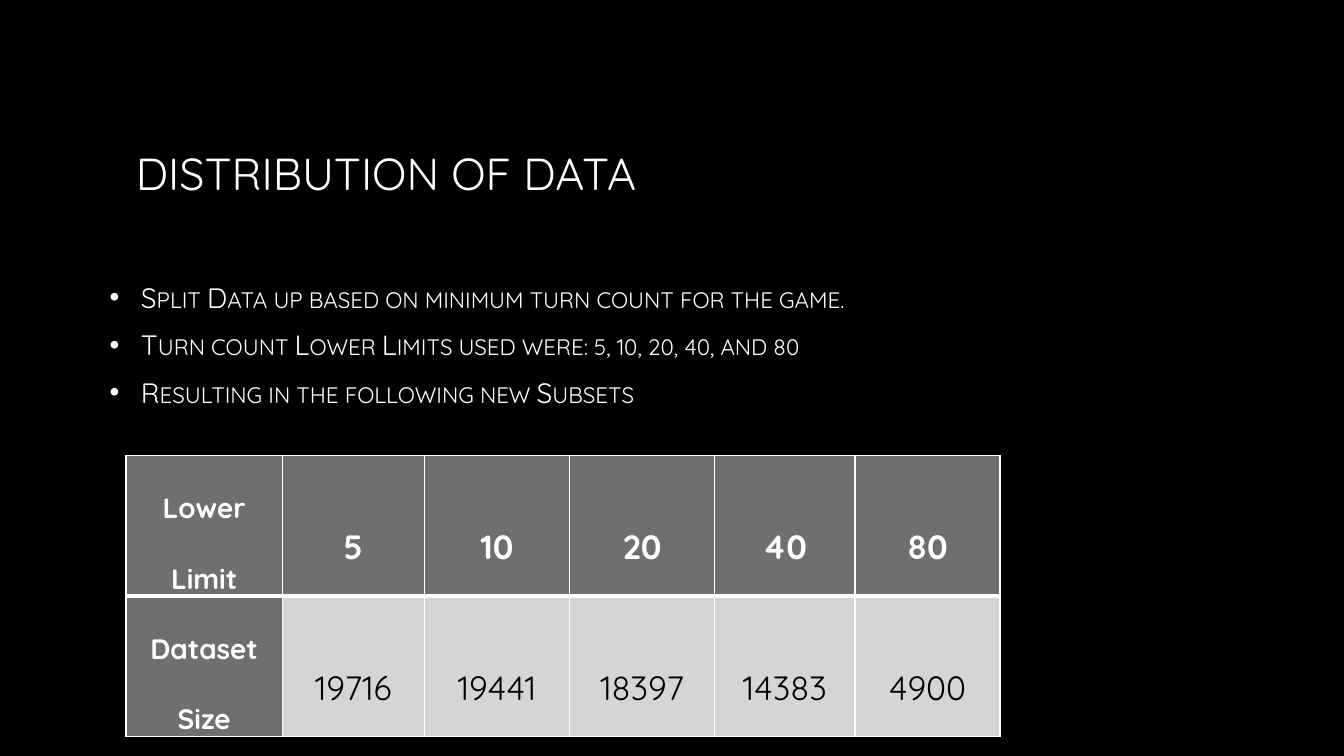
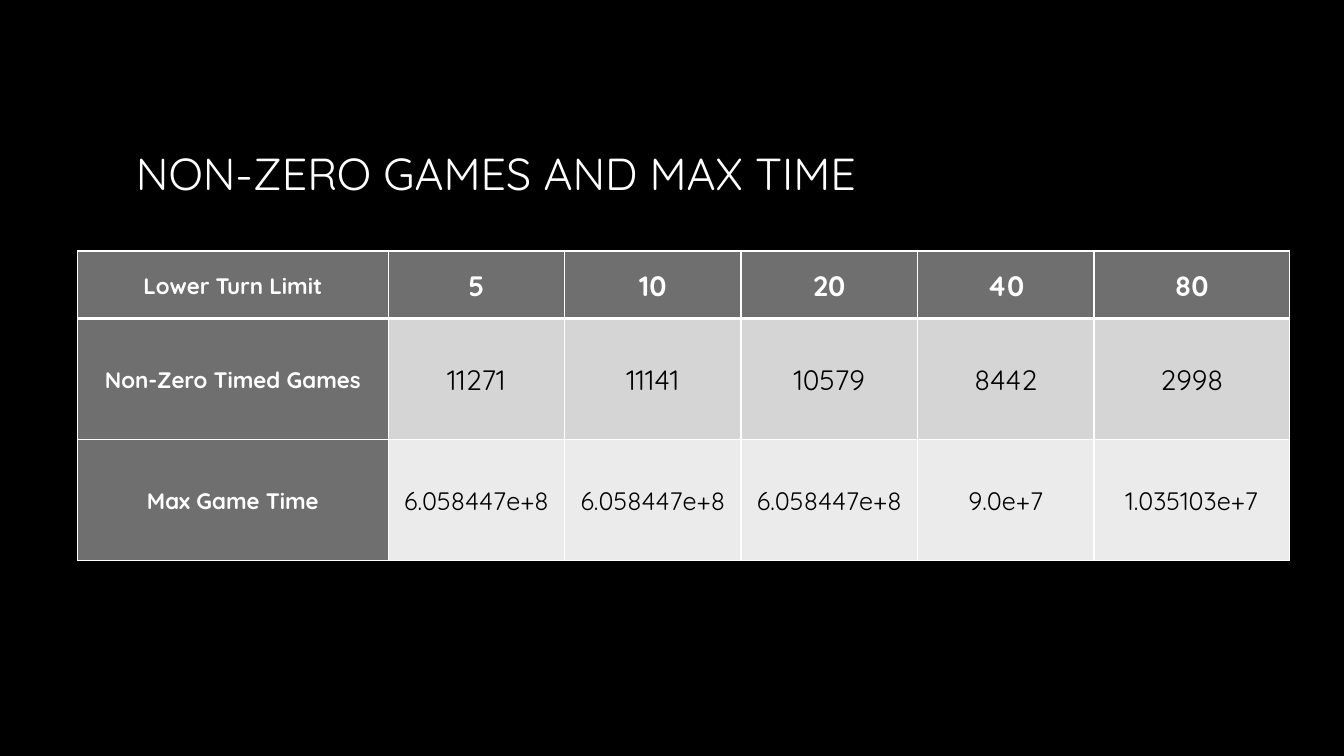
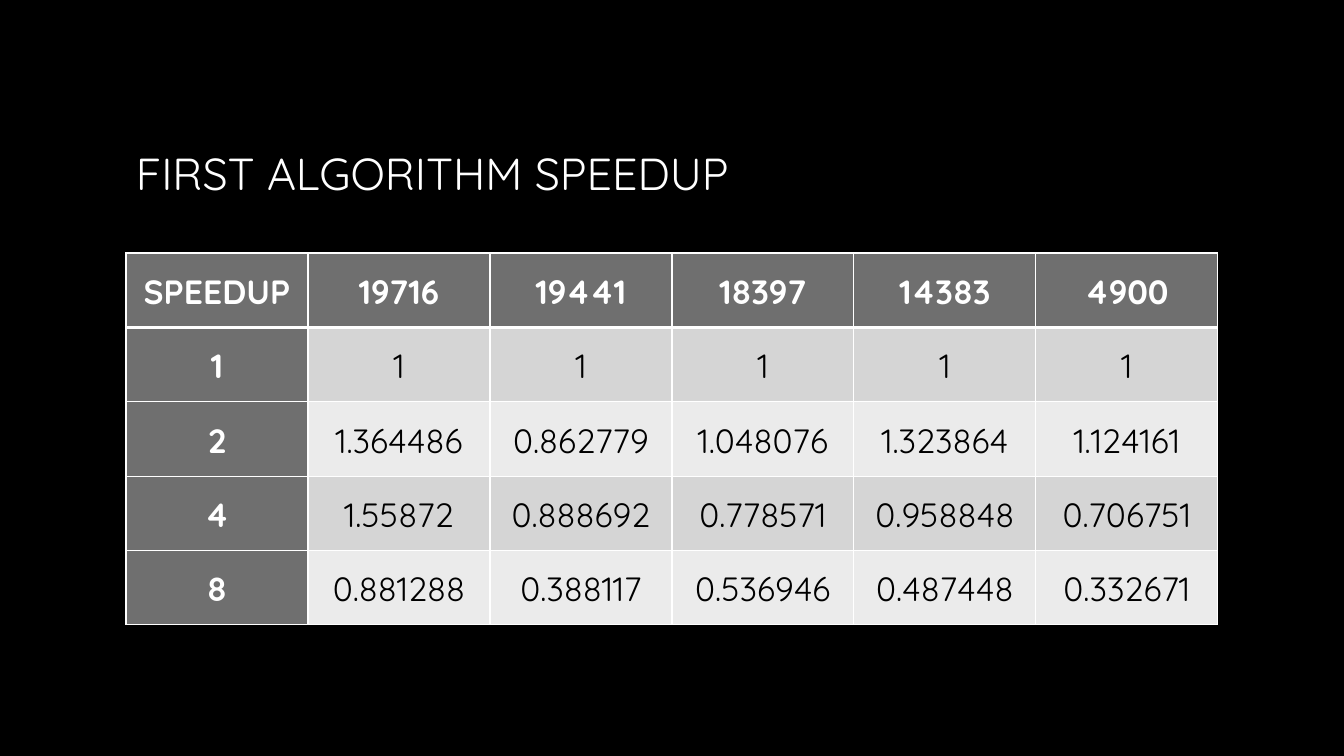
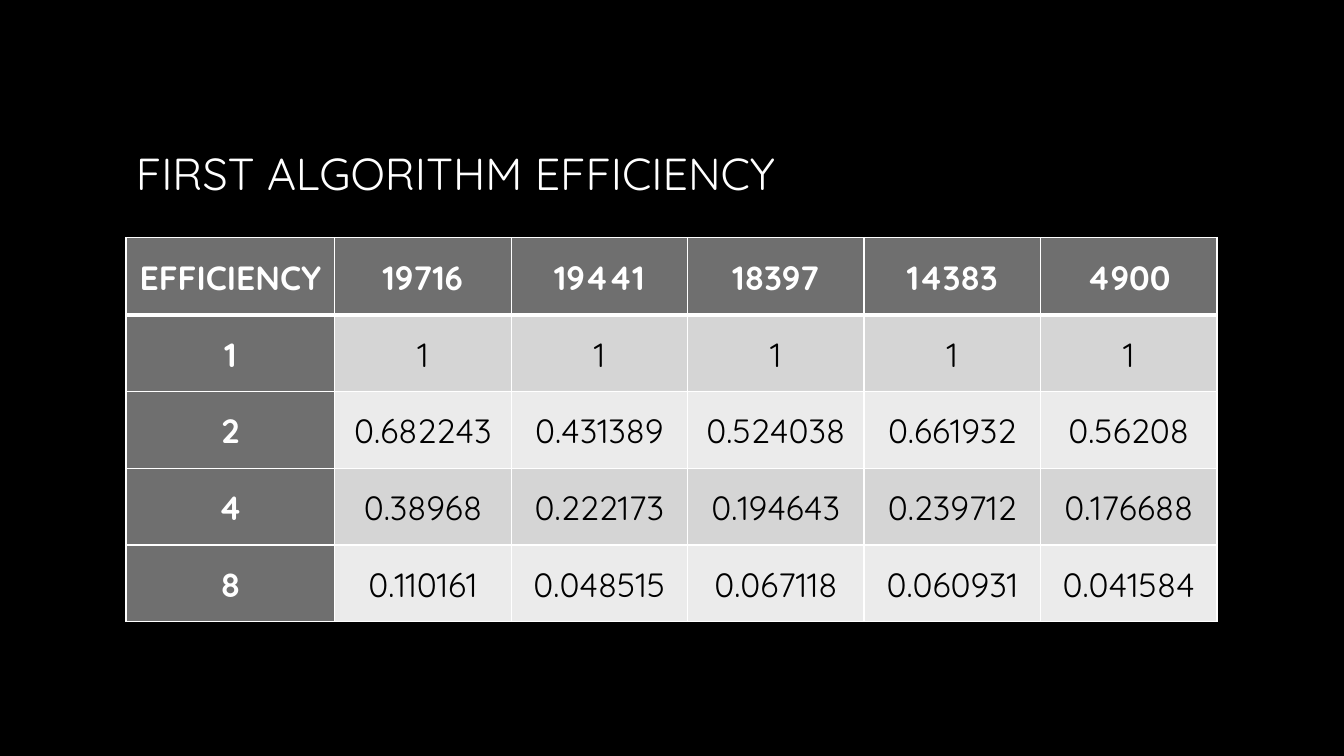
from lxml.etree import SubElement
from pptx import Presentation
from pptx.dml.color import RGBColor
from pptx.enum.text import MSO_ANCHOR, PP_ALIGN
from pptx.oxml.ns import qn
from pptx.util import Inches, Pt

FONT = "Quicksand"
BLACK, WHITE = "000000", "FFFFFF"
LABEL_FILL = "6F6F6F"
BAND_FILLS = ("D5D5D5", "EBEBEB")
THIN, THICK = 1, 3
TITLE_BOX = (1.25, 0.67, 10.83, 2.08)
BODY_BOX = (0.99, 1.71, 10.83, 3.42)
BULLET_INDENT = 0.31

# Content: row_sizes are the text sizes of the values in each row,
# label_bottom lifts two-line labels clear of the border below them
SLIDES = [
    {
        "title": "DISTRIBUTION OF DATA",
        "bullets": [
            "Split Data up based on minimum turn count for the game.",
            "Turn count Lower Limits used were: 5, 10, 20, 40, and 80",
            "Resulting in the following new Subsets",
        ],
        "origin": (1.25, 4.52),
        "columns": [1.55, 1.41, 1.44, 1.44, 1.39, 1.44],
        "row_heights": [1.39] * 2, "label_bottom": 0.06,
        "label_size": 20, "row_sizes": [24] * 2, "line_spacing": 2.0,
        "rows": [
            ("Lower Limit", "5", "10", "20", "40", "80"),
            ("Dataset Size", "19716", "19441", "18397", "14383", "4900"),
        ],
    },
    {
        "title": "NON-ZERO GAMES AND MAX TIME",
        "origin": (0.77, 2.49),
        "columns": [3.08] + [1.75] * 4 + [1.94],
        "row_heights": [0.67, 1.2, 1.2], "label_bottom": 0,
        "label_size": 16, "row_sizes": [20, 20, 18], "line_spacing": 1.07,
        "rows": [
            ("Lower Turn Limit", "5", "10", "20", "40", "80"),
            ("Non-Zero Timed Games", "11271", "11141", "10579", "8442", "2998"),
            ("Max Game Time", "6.058447e+8", "6.058447e+8", "6.058447e+8",
             "9.0e+7", "1.035103e+7"),
        ],
    },
    {
        "title": "FIRST ALGORITHM SPEEDUP",
        "origin": (1.25, 2.51),
        "columns": [10.83 / 6] * 6,
        "row_heights": [3.69 / 5] * 5, "label_bottom": 0,
        "label_size": 24, "row_sizes": [24] * 5, "line_spacing": 1.07,
        "rows": [
            ("SPEEDUP", "19716", "19441", "18397", "14383", "4900"),
            ("1", "1", "1", "1", "1", "1"),
            ("2", "1.364486", "0.862779", "1.048076", "1.323864", "1.124161"),
            ("4", "1.55872", "0.888692", "0.778571", "0.958848", "0.706751"),
            ("8", "0.881288", "0.388117", "0.536946", "0.487448", "0.332671"),
        ],
    },
    {
        "title": "FIRST ALGORITHM EFFICIENCY",
        "origin": (1.25, 2.36),
        "columns": [2.07] + [1.75] * 5,
        "row_heights": [3.81 / 5] * 5, "label_bottom": 0,
        "label_size": 24, "row_sizes": [24] * 5, "line_spacing": 1.07,
        "rows": [
            ("EFFICIENCY", "19716", "19441", "18397", "14383", "4900"),
            ("1", "1", "1", "1", "1", "1"),
            ("2", "0.682243", "0.431389", "0.524038", "0.661932", "0.56208"),
            ("4", "0.38968", "0.222173", "0.194643", "0.239712", "0.176688"),
            ("8", "0.110161", "0.048515", "0.067118", "0.060931", "0.041584"),
        ],
    },
]


def color(value):
    return RGBColor.from_string(value)


def set_all(target, values):
    for name, value in values.items():
        setattr(target, name, value)


def write(paragraph, text, size, text_color=WHITE, bold=False, **layout):
    """Fill a paragraph with one run and return the run."""
    set_all(paragraph, layout)
    run = paragraph.add_run()
    run.text = text
    set_all(run.font, {"name": FONT, "size": Pt(size), "bold": bold})
    run.font.color.rgb = color(text_color)
    return run


def add_text_frame(slide, box):
    frame = slide.shapes.add_textbox(*map(Inches, box)).text_frame
    set_all(frame, {"word_wrap": True, "vertical_anchor": MSO_ANCHOR.MIDDLE})
    return frame


def add_bullets(slide, lines):
    frame = add_text_frame(slide, BODY_BOX)
    for index, line in enumerate(lines):
        paragraph = frame.add_paragraph() if index else frame.paragraphs[0]
        run = write(paragraph, line, 20, space_before=Pt(4), space_after=Pt(6))
        run.font._element.set("cap", "small")
        properties = paragraph._p.get_or_add_pPr()
        properties.set("marL", str(Inches(BULLET_INDENT)))
        properties.set("indent", str(-Inches(BULLET_INDENT)))
        bullet_color = SubElement(properties, qn("a:buClr"))
        SubElement(bullet_color, qn("a:srgbClr"), val=WHITE)
        SubElement(properties, qn("a:buFont"), typeface="Arial")
        SubElement(properties, qn("a:buChar"), char="•")


def set_borders(cell, widths):
    """Draw the white cell borders; the fill must follow them in the XML."""
    properties = cell._tc.get_or_add_tcPr()
    for side, width in widths.items():
        line = SubElement(properties, qn("a:ln" + side), w=str(Pt(width)))
        fill = SubElement(line, qn("a:solidFill"))
        SubElement(fill, qn("a:srgbClr"), val=WHITE)


def add_data_table(slide, content):
    rows, columns = content["rows"], content["columns"]
    heights = content["row_heights"]
    box = (*content["origin"], sum(columns), sum(heights))
    table = slide.shapes.add_table(len(rows), len(columns), *map(Inches, box)).table
    for column, width in zip(table.columns, columns):
        column.width = Inches(width)
    for row, height in zip(table.rows, heights):
        row.height = Inches(height)

    for row_index, values in enumerate(rows):
        for column_index, text in enumerate(values):
            is_label = column_index == 0
            is_dark = is_label or row_index == 0
            cell = table.cell(row_index, column_index)
            set_all(cell, {
                "vertical_anchor": MSO_ANCHOR.MIDDLE,
                "margin_left": Inches(0.07), "margin_right": Inches(0.07),
                "margin_top": 0,
                "margin_bottom": Inches(content["label_bottom"] if is_label else 0),
            })
            set_borders(cell, {
                "L": THIN, "R": THIN,
                "T": THICK if row_index == 1 else THIN,
                "B": THICK if row_index == 0 else THIN,
            })
            cell.fill.solid()
            cell.fill.fore_color.rgb = color(
                LABEL_FILL if is_dark else BAND_FILLS[(row_index - 1) % 2])
            write(
                cell.text_frame.paragraphs[0], text,
                content["label_size"] if is_label else content["row_sizes"][row_index],
                WHITE if is_dark else BLACK, is_dark,
                alignment=PP_ALIGN.CENTER, line_spacing=content["line_spacing"],
            )


def main():
    presentation = Presentation()
    set_all(presentation, {"slide_width": Inches(13.33), "slide_height": Inches(7.5)})
    for content in SLIDES:
        slide = presentation.slides.add_slide(presentation.slide_layouts[6])
        slide.background.fill.solid()
        slide.background.fill.fore_color.rgb = color(BLACK)
        title = add_text_frame(slide, TITLE_BOX)
        write(title.paragraphs[0], content["title"], 32)
        if "bullets" in content:
            add_bullets(slide, content["bullets"])
        add_data_table(slide, content)
    presentation.save("out.pptx")


if __name__ == "__main__":
    main()
